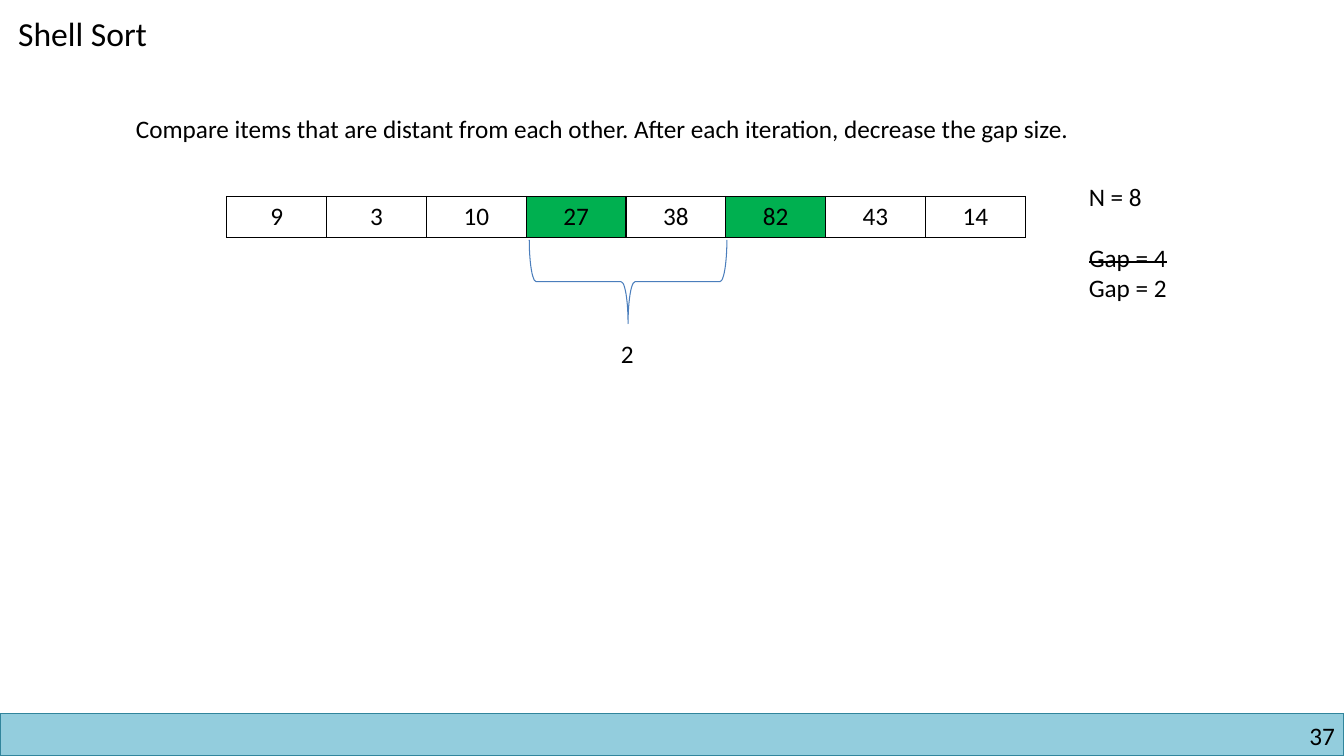
"""Build the Shell Sort slide: an array row with a gap of two marked by a brace."""
from lxml.etree import SubElement
from pptx import Presentation
from pptx.dml.color import RGBColor
from pptx.enum.shapes import MSO_SHAPE
from pptx.enum.text import MSO_ANCHOR, MSO_AUTO_SIZE, PP_ALIGN
from pptx.oxml.ns import qn
from pptx.util import Inches, Pt

TITLE = "Shell Sort"
STATEMENT = "Compare items that are distant from each other. After each iteration, decrease the gap size."
ITEMS = [9, 3, 10, 27, 38, 82, 43, 14]
COMPARED = (3, 5)
GAP = COMPARED[1] - COMPARED[0]
NOTES = [
    {"text": "N = 8"},
    {"text": "Gap = 4", "strike": True, "space_before": 22},
    {"text": "Gap = 2"},
]
PAGE_NUMBER = "37"

WIDTH, HEIGHT = 13.33, 7.5
FOOTER_HEIGHT = 0.42
ARRAY_LEFT, ARRAY_TOP = 2.25, 1.95
CELL_WIDTH, CELL_HEIGHT = 0.99, 0.41
BRACE_DEPTH, BRACE_SPAN = 0.83, 1.96
BLACK, WHITE, GREEN = "000000", "FFFFFF", "00B050"
BAR_FILL, BAR_LINE, BRACE_LINE = "93CDDD", "31859C", "4B7EBC"


def color(hex_string):
    return RGBColor.from_string(hex_string)


def write(paragraph, text, size=18, align=PP_ALIGN.LEFT, strike=False, space_before=0):
    paragraph.alignment = align
    paragraph.space_before = Pt(space_before)
    run = paragraph.add_run()
    run.text = text
    run.font.size = Pt(size)
    run.font.name = "Calibri"
    run.font.color.rgb = color(BLACK)
    if strike:
        run._r.get_or_add_rPr().set("strike", "sngStrike")


def place(shape, left, top, width, height):
    shape.left, shape.top = Inches(left), Inches(top)
    shape.width, shape.height = Inches(width), Inches(height)


def fill_frame(shape, lines, margins=True):
    frame = shape.text_frame
    frame.word_wrap = True
    frame.auto_size = MSO_AUTO_SIZE.NONE
    frame.vertical_anchor = MSO_ANCHOR.TOP
    if not margins:
        frame.margin_left = frame.margin_right = frame.margin_top = frame.margin_bottom = 0
    for index, line in enumerate(lines):
        paragraph = frame.add_paragraph() if index else frame.paragraphs[0]
        write(paragraph, **line)


def add_text(slide, box, lines, margins=True):
    shape = slide.shapes.add_textbox(*map(Inches, box))
    fill_frame(shape, lines, margins)


def add_outline(slide, kind, box, line, weight, fill=None):
    shape = slide.shapes.add_shape(kind, *map(Inches, box))
    shape.shadow.inherit = False
    shape.line.color.rgb = color(line)
    shape.line.width = Pt(weight)
    if fill:
        shape.fill.solid()
        shape.fill.fore_color.rgb = color(fill)
    else:
        shape.fill.background()
    return shape


def format_cell(cell, text, fill):
    write(cell.text_frame.paragraphs[0], text, align=PP_ALIGN.CENTER)
    properties = cell._tc.get_or_add_tcPr()
    for side in ("lnL", "lnR", "lnT", "lnB"):
        border = SubElement(properties, qn(f"a:{side}"), w=str(Pt(1)))
        solid = SubElement(border, qn("a:solidFill"))
        SubElement(solid, qn("a:srgbClr"), val=BLACK)
    cell.fill.solid()
    cell.fill.fore_color.rgb = color(fill)


def add_array(slide):
    box = (ARRAY_LEFT, ARRAY_TOP, CELL_WIDTH * len(ITEMS), CELL_HEIGHT)
    table = slide.shapes.add_table(1, len(ITEMS), *map(Inches, box)).table
    table.first_row = table.horz_banding = False
    for index, item in enumerate(ITEMS):
        table.columns[index].width = Inches(CELL_WIDTH)
        format_cell(table.cell(0, index), str(item), GREEN if index in COMPARED else WHITE)


def add_gap_brace(slide):
    center = ARRAY_LEFT + CELL_WIDTH * (COMPARED[0] + GAP / 2) + 0.02
    middle = ARRAY_TOP + CELL_HEIGHT + 0.02 + BRACE_DEPTH / 2
    box = (center - BRACE_DEPTH / 2, middle - BRACE_SPAN / 2, BRACE_DEPTH, BRACE_SPAN)
    brace = add_outline(slide, MSO_SHAPE.LEFT_BRACE, box, BRACE_LINE, 0.75)
    brace.rotation = 270
    add_text(slide, (center - 0.17, 3.31, 0.34, 0.4), [{"text": str(GAP)}])


def main():
    presentation = Presentation()
    presentation.slide_width, presentation.slide_height = Inches(WIDTH), Inches(HEIGHT)
    slide = presentation.slides.add_slide(presentation.slide_layouts[5])
    bar_top = HEIGHT - FOOTER_HEIGHT
    add_outline(slide, MSO_SHAPE.RECTANGLE, (0, bar_top, WIDTH, FOOTER_HEIGHT), BAR_LINE, 1, BAR_FILL)
    page_line = {"text": PAGE_NUMBER, "align": PP_ALIGN.RIGHT}
    add_text(slide, (10.17, bar_top + 0.07, 3.07, 0.3), [page_line], margins=False)
    place(slide.shapes.title, 0.08, 0.08, 1.66, 0.5)
    fill_frame(slide.shapes.title, [{"text": TITLE, "size": 24}])
    add_text(slide, (1.25, 1.08, 10.36, 0.4), [{"text": STATEMENT}])
    add_array(slide)
    add_text(slide, (10.7, 1.75, 1.11, 1.31), NOTES)
    add_gap_brace(slide)
    presentation.save("out.pptx")


if __name__ == "__main__":
    main()
